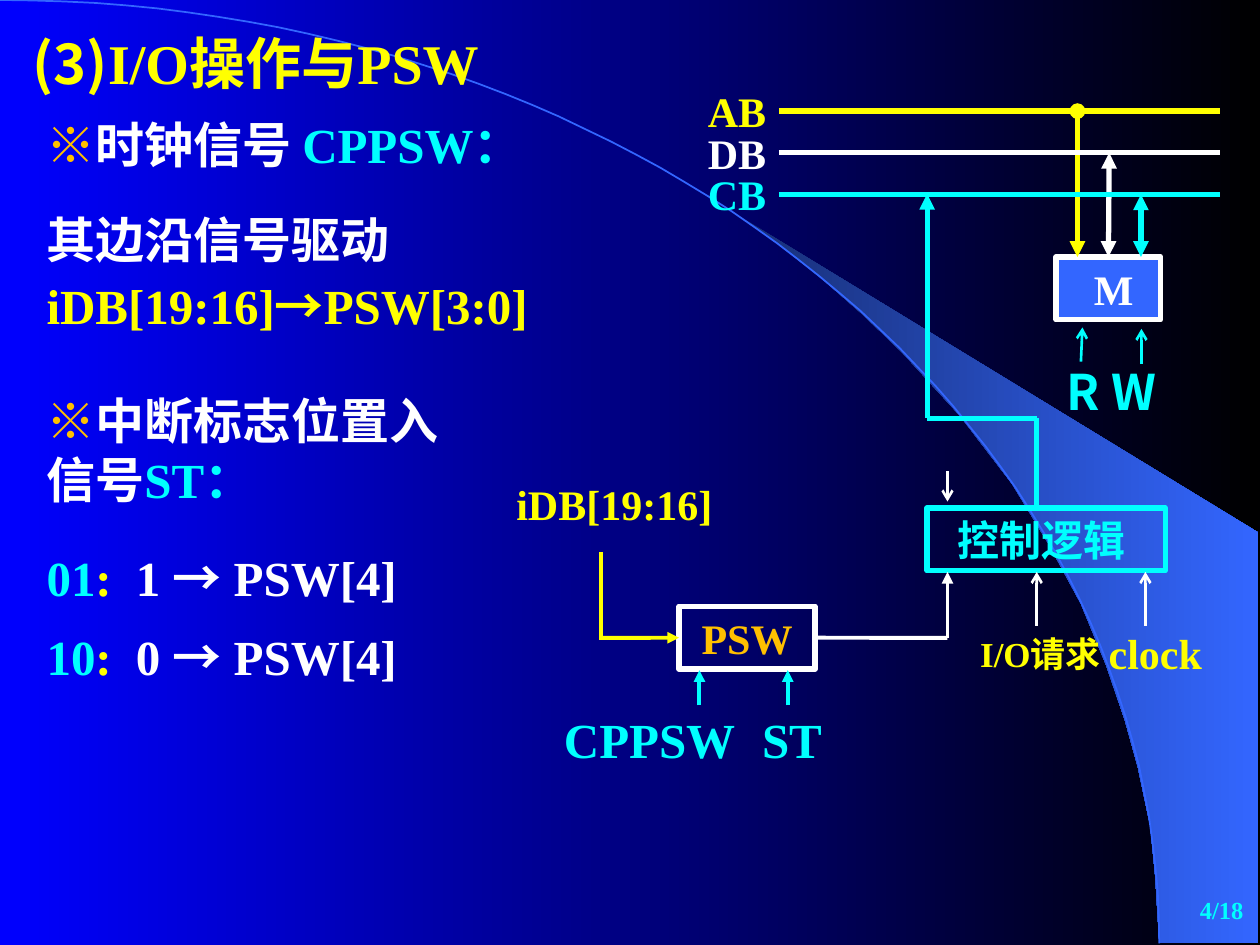
"""Build the slide on I/O operations and the PSW register."""
from lxml import etree
from pptx import Presentation
from pptx.dml.color import RGBColor
from pptx.enum.shapes import MSO_CONNECTOR, MSO_SHAPE
from pptx.enum.text import MSO_ANCHOR, PP_ALIGN
from pptx.oxml.ns import qn
from pptx.util import Cm, Pt

STRAIGHT = MSO_CONNECTOR.STRAIGHT
RECTANGLE = MSO_SHAPE.RECTANGLE
TOP, MIDDLE = MSO_ANCHOR.TOP, MSO_ANCHOR.MIDDLE
LEFT, CENTER, RIGHT = PP_ALIGN.LEFT, PP_ALIGN.CENTER, PP_ALIGN.RIGHT
YELLOW, WHITE, CYAN, ORANGE, BLUE = "FFFF00", "FFFFFF", "00FFFF", "FFC000", "3366FF"
LATIN, CHINESE = "Times New Roman", "Noto Sans CJK SC"
color = RGBColor.from_string

presentation = Presentation()
presentation.slide_width, presentation.slide_height = Cm(25.4), Cm(19.05)
slide = presentation.slides.add_slide(presentation.slide_layouts[6])
shapes = slide.shapes


def write(shape, size, runs, alignment=LEFT, anchor=TOP):
    """Fill a shape with one paragraph of (text, colour, font) runs."""
    frame = shape.text_frame
    frame.word_wrap = True
    frame.vertical_anchor = anchor
    paragraph = frame.paragraphs[0]
    paragraph.alignment = alignment
    for text, run_color, font_name in runs:
        run = paragraph.add_run()
        run.text = text
        run.font.size = Pt(size)
        run.font.bold = True
        run.font.color.rgb = color(run_color)
        run.font.name = font_name
        etree.SubElement(run.font._element, qn("a:ea"), typeface=CHINESE)
    return paragraph


def wire(start, end, line_color, width, head=None, tail=None):
    """Draw a straight connector between two points in centimetres."""
    connector = shapes.add_connector(STRAIGHT, *map(Cm, start + end))
    connector.line.color.rgb = color(line_color)
    connector.line.width = Pt(width)
    properties = connector._element.spPr
    for tag, kind in (("a:headEnd", head), ("a:tailEnd", tail)):
        if kind:
            etree.SubElement(properties.find(qn("a:ln")), qn(tag), type=kind)
    etree.SubElement(properties, qn("a:effectLst"))
    return connector


wedge_points = [
    (2337, 1900), (2537, 1902), (2537, 1074), (1496, 439), (1585, 505), (1659, 564),
    (1740, 635), (1819, 711), (1935, 838), (2040, 975), (2113, 1095), (2179, 1217),
    (2230, 1341), (2268, 1453), (2294, 1547), (2319, 1666), (2329, 1768),
]
builder = shapes.build_freeform(*wedge_points[0], scale=Cm(0.01))
builder.add_line_segments(wedge_points[1:], close=True)
wedge = builder.convert_to_shape()
wedge.shadow.inherit = False
wedge.line.fill.background()

for fill, stop_colors in ((slide.background.fill, ("0000FF", "000000")), (wedge.fill, ("182F76", BLUE))):
    fill.gradient()
    fill.gradient_angle = 0
    for stop, stop_color in zip(fill.gradient_stops, stop_colors):
        stop.color.rgb = color(stop_color)

arc_points = []
for step in range(1, 61):
    t = step / 60
    u = 1 - t
    arc_points.append((3 * u * u * t * 1290 + 3 * u * t * t * 2337 + t ** 3 * 2337,
                       3 * u * t * t * 851 + t ** 3 * 1902))
builder = shapes.build_freeform(0, 0, scale=Cm(0.01))
builder.add_line_segments(arc_points, close=False)
arc = builder.convert_to_shape()
arc.shadow.inherit = False
arc.fill.background()
arc.line.color.rgb = color(BLUE)
arc.line.width = Pt(1)

notes = [
    (0.41, 0.46, 10.69, 1.63, 32, [("(3)", YELLOW, CHINESE), ("I/O操作与PSW", YELLOW, LATIN)]),
    (0.69, 2.18, 10.9, 1.45, 28,
     [("※", ORANGE, CHINESE), ("时钟信号 ", WHITE, LATIN), ("CPPSW：", CYAN, LATIN)]),
    (0.69, 7.75, 9.22, 2.64, 28,
     [("※", ORANGE, CHINESE), ("中断标志位置入信号", WHITE, CHINESE), ("ST：", CYAN, LATIN)]),
    (19.51, 12.62, 3, 1.96, 20, [("I/O请求", YELLOW, LATIN)]),
    (22.1, 12.52, 2.59, 1.27, 24, [("clock", YELLOW, LATIN)]),
]
for left, top, width, height, size, runs in notes:
    write(shapes.add_textbox(Cm(left), Cm(top), Cm(width), Cm(height)), size, runs)

edge_box = shapes.add_textbox(Cm(0.69), Cm(3.94), Cm(12.19), Cm(2.95))
edge_runs = [("其边沿信号驱动 ", WHITE, LATIN), ("iDB[19:16]", YELLOW, LATIN),
             ("→", YELLOW, CHINESE), ("PSW[3:0]", YELLOW, LATIN)]
write(edge_box, 28, edge_runs).line_spacing = Pt(38)

for top, code, flag in ((10.92, "01", "1"), (12.5, "10", "0")):
    code_box = shapes.add_textbox(Cm(0.69), Cm(top), Cm(8), Cm(1.45))
    code_runs = [(code, CYAN, LATIN), (":\t", YELLOW, LATIN), (flag + " ", WHITE, LATIN),
                 ("→", WHITE, CHINESE), (" PSW[4]", WHITE, LATIN)]
    paragraph = write(code_box, 28, code_runs)
    tab_list = etree.SubElement(paragraph._p.get_or_add_pPr(), qn("a:tabLst"))
    etree.SubElement(tab_list, qn("a:tab"), pos=str(Cm(1.8)), algn="l")

centered_labels = [
    (21.11, 7.16, 2.59, 28, "R W", CYAN, CHINESE),
    (14.86, 14.17, 2.21, 28, "ST", CYAN, LATIN),
    (10.9, 14.17, 4.39, 28, "CPPSW", CYAN, LATIN),
    (9.68, 9.53, 5.41, 24, "iDB[19:16]", YELLOW, LATIN),
]
for left, top, width, size, text, text_color, font_name in centered_labels:
    label = shapes.add_textbox(Cm(left), Cm(top), Cm(width), Cm(1.45))
    write(label, size, [(text, text_color, font_name)], CENTER)

blocks = []
for left, top, width, text, text_color, line_color, font_name in (
    (21.29, 5.18, 2.11, " M", WHITE, WHITE, LATIN),
    (18.69, 10.24, 4.8, "控制逻辑 ", CYAN, CYAN, CHINESE),
    (13.69, 12.22, 2.74, "PSW", ORANGE, WHITE, LATIN),
):
    block = shapes.add_shape(RECTANGLE, Cm(left), Cm(top), Cm(width), Cm(1.27))
    block.shadow.inherit = False
    block.fill.background()
    block.line.color.rgb = color(line_color)
    block.line.width = Pt(3)
    write(block, 24, [(text, text_color, font_name)], CENTER)
    blocks.append(block)
memory, control, psw = blocks
memory.fill.solid()
memory.fill.fore_color.rgb = color(BLUE)

taps = []
for index, (name, bus_color, head) in enumerate(
    (("AB", YELLOW, "oval"), ("DB", WHITE, "triangle"), ("CB", CYAN, "triangle"))
):
    bus_top = 2.24 + 0.84 * index
    tap_left = 21.72 + 0.64 * index
    wire((15.7, bus_top), (24.59, bus_top), bus_color, 3)
    taps.append(wire((tap_left, bus_top), (tap_left, 5.18), bus_color, 3, head, "triangle"))
    bus_label = shapes.add_textbox(Cm(14.02), Cm(bus_top - 0.64), Cm(2.34), Cm(1.27))
    write(bus_label, 24, [(name, bus_color, LATIN)])
taps[1].end_connect(memory, 0)

for start, end, line_color, width, head, tail in (
    ((18.69, 3.91), (18.69, 8.43), CYAN, 3, "triangle", None),
    ((18.69, 8.43), (20.9, 8.43), CYAN, 3, None, None),
    ((20.9, 8.43), (20.9, 10.24), CYAN, 3, None, None),
    ((19.1, 11.53), (19.1, 12.86), WHITE, 2.25, "triangle", None),
    ((20.9, 11.53), (20.9, 12.62), WHITE, 1.5, "arrow", None),
    ((23.09, 11.53), (23.09, 12.62), WHITE, 1.5, "arrow", None),
    ((19.1, 9.5), (19.1, 10.11), WHITE, 1.5, None, "arrow"),
    ((21.79, 7.29), (21.82, 6.6), CYAN, 1.5, None, "arrow"),
    ((23.01, 7.34), (23.01, 6.63), CYAN, 1.5, None, "arrow"),
    ((14.1, 14.22), (14.1, 13.51), CYAN, 2.25, None, "triangle"),
    ((15.88, 14.22), (15.88, 13.51), CYAN, 2.25, None, "triangle"),
    ((12.12, 11.13), (12.12, 12.9), YELLOW, 2.25, None, None),
):
    wire(start, end, line_color, width, head, tail)
wire((12.12, 12.86), (13.69, 12.86), YELLOW, 2.25, tail="triangle").end_connect(psw, 1)
wire((19.1, 12.86), (16.43, 12.86), WHITE, 2.25).end_connect(psw, 3)

page_box = shapes.add_textbox(Cm(20.04), Cm(17.7), Cm(5.28), Cm(1.27))
write(page_box, 14, [("4/18", CYAN, LATIN)], RIGHT, MIDDLE)

presentation.save("out.pptx")
